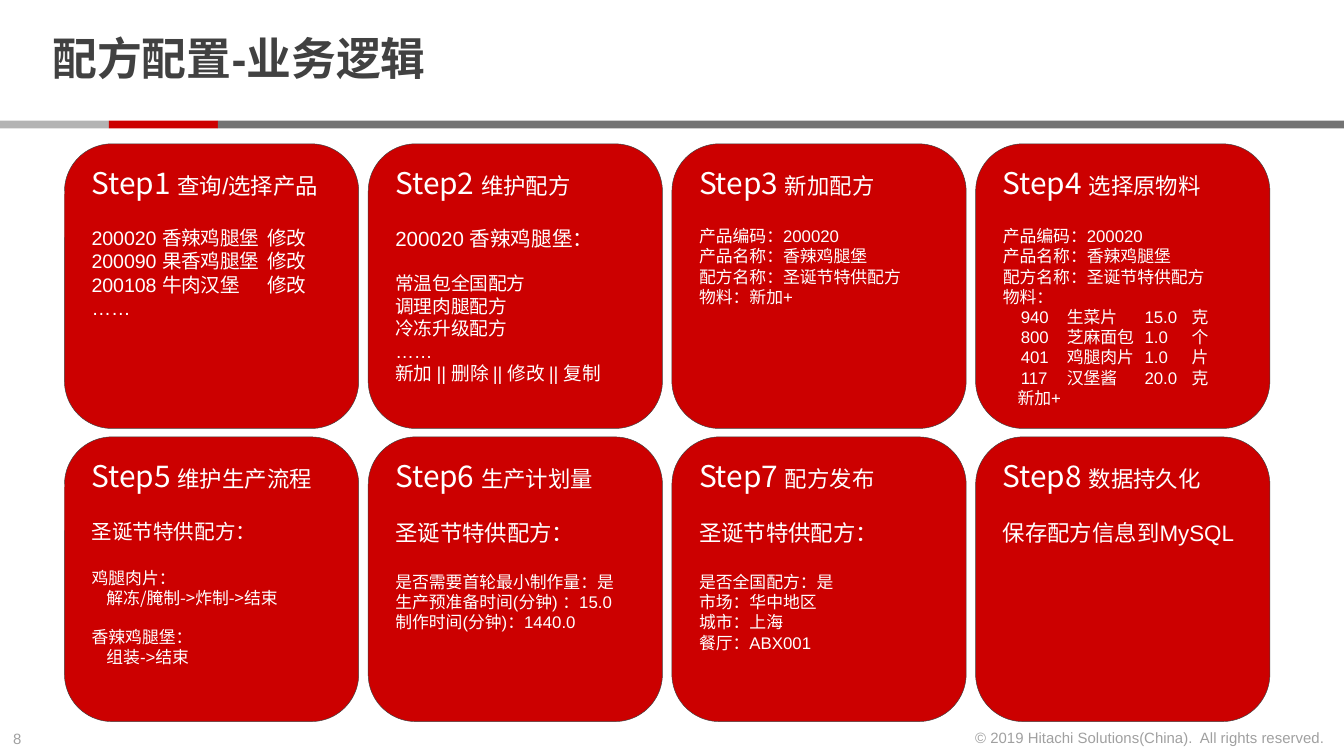
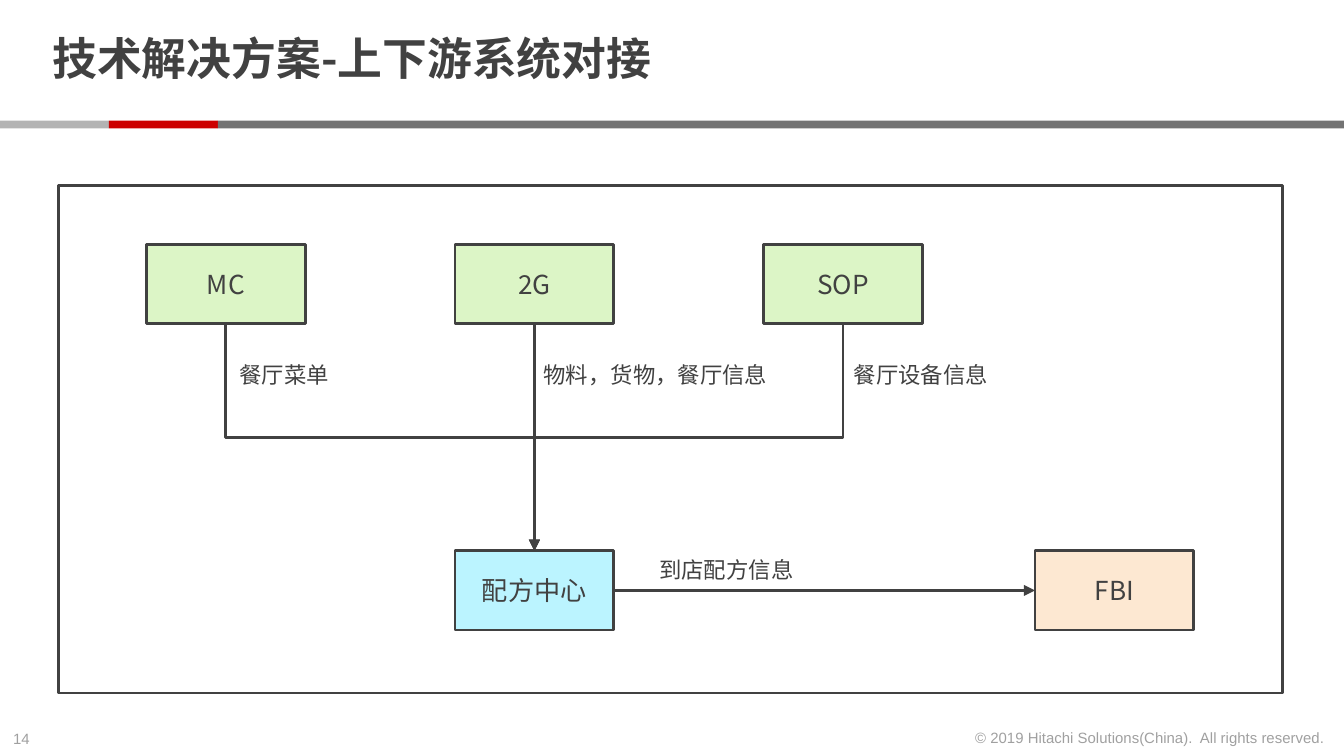
from dataclasses import dataclass

from lxml.etree import SubElement
from pptx import Presentation
from pptx.dml.color import RGBColor
from pptx.enum.shapes import MSO_CONNECTOR, MSO_SHAPE
from pptx.enum.text import MSO_ANCHOR, MSO_AUTO_SIZE, PP_ALIGN
from pptx.oxml.ns import qn
from pptx.util import Cm, Pt

LATIN = "Arial"
CJK = "Noto Sans CJK SC"
INK = "414141"
RED = "CC0000"
WHITE = "FFFFFF"
FOOTER_GRAY = "A0A0A0"
GREEN = "DCF5C6"
CYAN = "BBF4FF"
PEACH = "FDE8D2"
PAGE_WIDTH = 25.4
BAND_UNIT = 2.06
BANDS = [
    (0, BAND_UNIT, "B3B3B3"),
    (BAND_UNIT, BAND_UNIT, RED),
    (2 * BAND_UNIT, PAGE_WIDTH - 2 * BAND_UNIT, "737373"),
]
COPYRIGHT = "© 2019 Hitachi Solutions(China).  All rights reserved."


@dataclass
class Block:
    size: float
    gap: float
    lines: list
    font: str = LATIN
    indent: float = 0
    tabs: tuple = ()


PRODUCT = ["产品编码：200020", "产品名称：香辣鸡腿堡", "配方名称：圣诞节特供配方"]
SPECIAL = "圣诞节特供配方："
STEPS = [
    ("查询/选择产品", [
        Block(10.5, 12, [
            "200020 香辣鸡腿堡\t修改",
            "200090 果香鸡腿堡\t修改",
            "200108 牛肉汉堡\t修改",
            "……",
        ], tabs=(3.32,)),
    ]),
    ("维护配方", [
        Block(11, 12, ["200020 香辣鸡腿堡："]),
        Block(10, 10, [
            "常温包全国配方",
            "调理肉腿配方",
            "冷冻升级配方",
            "……",
            "新加 || 删除 || 修改 || 复制",
        ]),
    ]),
    ("新加配方", [Block(9, 12, PRODUCT + ["物料：新加+"])]),
    ("选择原物料", [
        Block(9, 12, PRODUCT + ["物料："]),
        Block(9, 0, [
            "\t940\t生菜片\t15.0\t克",
            "\t800\t芝麻面包\t1.0\t个",
            "\t401\t鸡腿肉片\t1.0\t片",
            "\t117\t汉堡酱\t20.0\t克",
        ], tabs=(0.34, 1.21, 2.68, 3.57)),
        Block(9, 0, ["新加+"], indent=0.28),
    ]),
    ("维护生产流程", [
        Block(11, 12, [SPECIAL]),
        Block(9, 11, ["鸡腿肉片："], font=CJK),
        Block(9, 0, ["解冻/腌制->炸制->结束"], font=CJK, indent=0.28),
        Block(9, 9, ["香辣鸡腿堡："]),
        Block(9, 0, ["组装->结束"], indent=0.28),
    ]),
    ("生产计划量", [
        Block(12, 12, [SPECIAL]),
        Block(9, 12, [
            "是否需要首轮最小制作量：是",
            "生产预准备时间(分钟) ：15.0",
            "制作时间(分钟)：1440.0",
        ]),
    ]),
    ("配方发布", [
        Block(12, 12, [SPECIAL]),
        Block(9, 12, ["是否全国配方：是", "市场：华中地区", "城市：上海", "餐厅：ABX001"]),
    ]),
    ("数据持久化", [Block(12, 12, ["保存配方信息到MySQL"])]),
]


def color(value):
    return RGBColor.from_string(value)


def style_font(font, size, name, value, bold=False):
    font.size = Pt(size)
    font.name = name
    font.bold = bold
    font.color.rgb = color(value)


def add_box(page, kind, left, top, width, height, fill=None, line=None, weight=1.5):
    box = page.shapes.add_shape(kind, Cm(left), Cm(top), Cm(width), Cm(height))
    box.shadow.inherit = False
    if fill:
        box.fill.solid()
        box.fill.fore_color.rgb = color(fill)
    else:
        box.fill.background()
    if line:
        box.line.color.rgb = color(line)
        box.line.width = Pt(weight)
    else:
        box.line.fill.background()
    return box


def add_label(page, text, left, top, width, height, size, value, align):
    box = page.shapes.add_textbox(Cm(left), Cm(top), Cm(width), Cm(height))
    box.text_frame.word_wrap = False
    para = box.text_frame.paragraphs[0]
    para.text = text
    para.alignment = align
    style_font(para.font, size, LATIN, value)


def add_title(page, spans):
    title = page.shapes.title
    title.left, title.top, title.width, title.height = Cm(0.74), Cm(0.15), Cm(19.58), Cm(2.03)
    frame = title.text_frame
    frame.auto_size = MSO_AUTO_SIZE.NONE
    frame.vertical_anchor = MSO_ANCHOR.MIDDLE
    frame.margin_left = frame.margin_right = Cm(0.25)
    frame.margin_top = frame.margin_bottom = 0
    para = frame.paragraphs[0]
    para.alignment = PP_ALIGN.LEFT
    para.line_spacing = 0.85
    for text, name in spans:
        span = para.add_run()
        span.text = text
        style_font(span.font, 24, name, INK, bold=True)


def add_page(deck, number, title_spans):
    page = deck.slides.add_slide(deck.slide_layouts[5])
    for left, width, fill in BANDS:
        add_box(page, MSO_SHAPE.RECTANGLE, left, 2.28, width, 0.15, fill)
    add_label(page, number, 0, 13.66, 0.86, 0.6, 8, FOOTER_GRAY, PP_ALIGN.LEFT)
    add_label(page, COPYRIGHT, 18.08, 13.65, 7.21, 0.6, 8, FOOTER_GRAY, PP_ALIGN.RIGHT)
    add_title(page, title_spans)
    return page


def set_tabs(para, positions):
    tab_list = SubElement(para._p.get_or_add_pPr(), qn("a:tabLst"))
    for position in positions:
        SubElement(tab_list, qn("a:tab"), pos=str(Cm(position)), algn="l")


def add_block(frame, block):
    for index, line in enumerate(block.lines):
        para = frame.add_paragraph()
        para.alignment = PP_ALIGN.LEFT
        if index == 0 and block.gap:
            para.space_before = Pt(round(block.gap * 1.15, 1))
        if block.indent:
            para._p.get_or_add_pPr().set("marL", str(Cm(block.indent)))
        if block.tabs:
            set_tabs(para, block.tabs)
        para.text = line
        style_font(para.font, block.size, block.font, WHITE)


def add_step_card(page, index, name, blocks):
    row, column = divmod(index, 4)
    card = add_box(page, MSO_SHAPE.ROUNDED_RECTANGLE, 1.22 + 5.74 * column, 2.72 + 5.54 * row,
                   5.56, 5.38, RED, INK, 0.25)
    frame = card.text_frame
    frame.word_wrap = True
    frame.vertical_anchor = MSO_ANCHOR.TOP
    heading = frame.paragraphs[0]
    heading.alignment = PP_ALIGN.LEFT
    for text, size, font in [(f"Step{index + 1} ", 16, CJK), (name, 12, LATIN)]:
        span = heading.add_run()
        span.text = text
        style_font(span.font, size, font, WHITE)
    for block in blocks:
        add_block(frame, block)


def add_system(page, name, left, top, fill):
    box = add_box(page, MSO_SHAPE.RECTANGLE, left, top, 3, 1.5, fill, INK)
    box.text_frame.vertical_anchor = MSO_ANCHOR.MIDDLE
    para = box.text_frame.paragraphs[0]
    para.text = name
    para.alignment = PP_ALIGN.CENTER
    style_font(para.font, 14, CJK, INK)
    return box


def style_arrow(arrow):
    arrow.line.color.rgb = color(INK)
    arrow.line.width = Pt(1.5)
    properties = arrow.element.spPr
    SubElement(properties.find(qn("a:ln")), qn("a:tailEnd"), type="triangle")
    SubElement(properties, qn("a:effectLst"))


def add_straight_arrow(page, source, source_site, target, target_site):
    arrow = page.shapes.add_connector(MSO_CONNECTOR.STRAIGHT, 0, 0, 0, 0)
    arrow.begin_connect(source, source_site)
    arrow.end_connect(target, target_site)
    style_arrow(arrow)


def add_elbow_arrow(page, source, target):
    start_x = source.left + source.width // 2
    start_y = source.top + source.height
    end_x = target.left + target.width // 2
    run, drop = abs(end_x - start_x), target.top - start_y
    left = (start_x + end_x - drop) // 2
    top = (start_y + target.top - run) // 2
    begin, end = left, left + drop
    from_left = start_x < end_x
    if from_left:
        begin, end = end, begin
    arrow = page.shapes.add_connector(MSO_CONNECTOR.ELBOW, begin, top, end, top + run)
    arrow.element.spPr.find(qn("a:xfrm")).set("rot", str((270 if from_left else 90) * 60000))
    style_arrow(arrow)


def build_steps_page(deck):
    page = add_page(deck, "8", [("配方配置-业务逻辑", LATIN)])
    for index, (name, blocks) in enumerate(STEPS):
        add_step_card(page, index, name, blocks)


def build_systems_page(deck):
    page = add_page(deck, "14", [("技术解决方案-", CJK), ("上下游系统对接", LATIN)])
    add_box(page, MSO_SHAPE.RECTANGLE, 1.1, 3.5, 23.14, 9.6, None, INK)
    menu, goods, devices = [
        add_system(page, name, 2.77 + 5.83 * index, 4.62, GREEN)
        for index, name in enumerate(["MC", "2G", "SOP"])
    ]
    center = add_system(page, "配方中心", 8.6, 10.41, CYAN)
    store = add_system(page, "FBI", 19.56, 10.41, PEACH)
    add_elbow_arrow(page, menu, center)
    add_elbow_arrow(page, devices, center)
    add_straight_arrow(page, goods, 2, center, 0)
    add_straight_arrow(page, center, 3, store, 1)
    for text, left, top, width in [
        ("餐厅菜单", 4.24, 6.71, 2.26),
        ("物料，货物，餐厅信息", 10, 6.71, 4.78),
        ("餐厅设备信息", 15.87, 6.71, 3.07),
        ("到店配方信息", 12.14, 10.39, 3.18),
    ]:
        add_label(page, text, left, top, width, 0.76, 12, INK, PP_ALIGN.CENTER)


def main():
    deck = Presentation()
    deck.slide_width, deck.slide_height = Cm(PAGE_WIDTH), Cm(14.29)
    build_steps_page(deck)
    build_systems_page(deck)
    deck.save("out.pptx")


if __name__ == "__main__":
    main()
